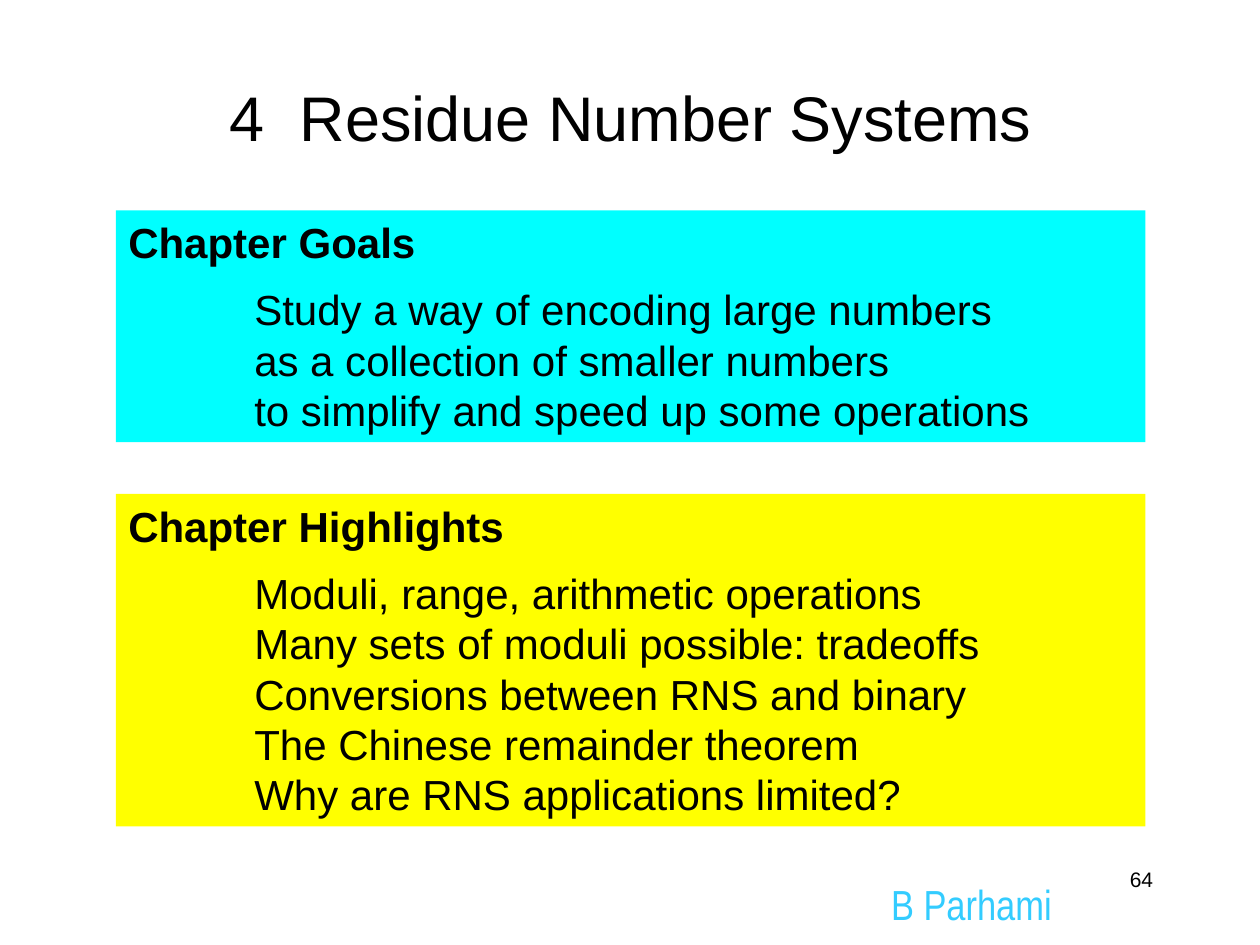
import dataclasses
import typing

import pptx
import pptx.dml.color
import pptx.enum.shapes
import pptx.enum.text
import pptx.util

Inches = pptx.util.Inches
Pt = pptx.util.Pt
Color = pptx.dml.color.RGBColor
Align = pptx.enum.text.PP_ALIGN
Anchor = pptx.enum.text.MSO_ANCHOR


@dataclasses.dataclass(frozen=True)
class Theme:
    font: str = "Arial"
    narrow: str = "Arial Narrow"
    ink: str = "000000"
    sky: str = "33CCFF"
    cyan: str = "00FFFF"
    yellow: str = "FFFF00"
    title: float = 36
    body: float = 24
    small: float = 12
    pitch: float = 28.8
    gap: float = 9.6
    indent: float = 1


@dataclasses.dataclass(frozen=True)
class Panel:
    top: float
    height: float
    fill: str
    head: str
    lines: tuple[str, ...]


@dataclasses.dataclass(frozen=True)
class Label:
    text: str
    box: tuple[float, float, float, float]
    size: float
    align: typing.Any
    font: str
    color: str
    anchor: typing.Any = Anchor.TOP


THEME = Theme()

PANELS = (
    Panel(1.67, 1.84, THEME.cyan, "Chapter Goals", (
        "Study a way of encoding large numbers",
        "as a collection of smaller numbers",
        "to simplify and speed up some operations",
    )),
    Panel(3.92, 2.64, THEME.yellow, "Chapter Highlights", (
        "Moduli, range, arithmetic operations",
        "Many sets of moduli possible: tradeoffs",
        "Conversions between RNS and binary",
        "The Chinese remainder theorem",
        "Why are RNS applications limited?",
    )),
)

LABELS = (
    Label("B Parhami", (6.71, 6.92, 2, 0.42), THEME.body, Align.CENTER,
          THEME.narrow, THEME.sky),
    Label("4  Residue Number Systems", (0.42, 0.42, 9.17, 1), THEME.title,
          Align.CENTER, THEME.font, THEME.ink, Anchor.MIDDLE),
    Label("64", (7.17, 6.83, 2.08, 0.5), THEME.small, Align.RIGHT,
          THEME.font, THEME.ink),
)


def add_run(para: typing.Any, text: str, size: float, font: str = THEME.font,
            color: str = THEME.ink, bold: bool = False) -> None:
    run = para.add_run()
    run.text = text
    run.font.size = Pt(size)
    run.font.name = font
    run.font.bold = bold
    run.font.color.rgb = Color.from_string(color)
    # Swiss family, so that a missing font falls back to a sans serif
    run._r.rPr.find(pptx.oxml.ns.qn("a:latin")).set("pitchFamily", "34")


def draw_label(slide: typing.Any, label: Label) -> None:
    box = slide.shapes.add_textbox(*map(Inches, label.box))
    frame = box.text_frame
    frame.word_wrap = True
    frame.vertical_anchor = label.anchor
    para = frame.paragraphs[0]
    para.alignment = label.align
    add_run(para, label.text, label.size, label.font, label.color)


def draw_panel(slide: typing.Any, panel: Panel) -> None:
    rect = slide.shapes.add_shape(
        pptx.enum.shapes.MSO_SHAPE.RECTANGLE,
        Inches(0.92), Inches(panel.top), Inches(8.17), Inches(panel.height))
    rect.shadow.inherit = False
    rect.fill.solid()
    rect.fill.fore_color.rgb = Color.from_string(panel.fill)
    rect.line.fill.background()
    frame = rect.text_frame
    frame.word_wrap = True
    frame.vertical_anchor = Anchor.TOP

    # Bold heading, then indented lines with a gap above the first
    for row, text in enumerate((panel.head, *panel.lines)):
        para = frame.paragraphs[0] if row == 0 else frame.add_paragraph()
        para.alignment = Align.JUSTIFY
        para.line_spacing = Pt(THEME.pitch)
        para.space_before = Pt(THEME.gap if row == 1 else 0)
        if row:
            para._p.get_or_add_pPr().set("marL", str(Inches(THEME.indent)))
        add_run(para, text, THEME.body, bold=row == 0)


def main() -> None:
    deck = pptx.Presentation()
    deck.slide_width, deck.slide_height = Inches(10), Inches(7.5)
    slide = deck.slides.add_slide(deck.slide_layouts[6])

    # Title, author and page number
    for label in LABELS:
        draw_label(slide, label)

    # Coloured panels
    for panel in PANELS:
        draw_panel(slide, panel)

    deck.save("out.pptx")


if __name__ == "__main__":
    main()
